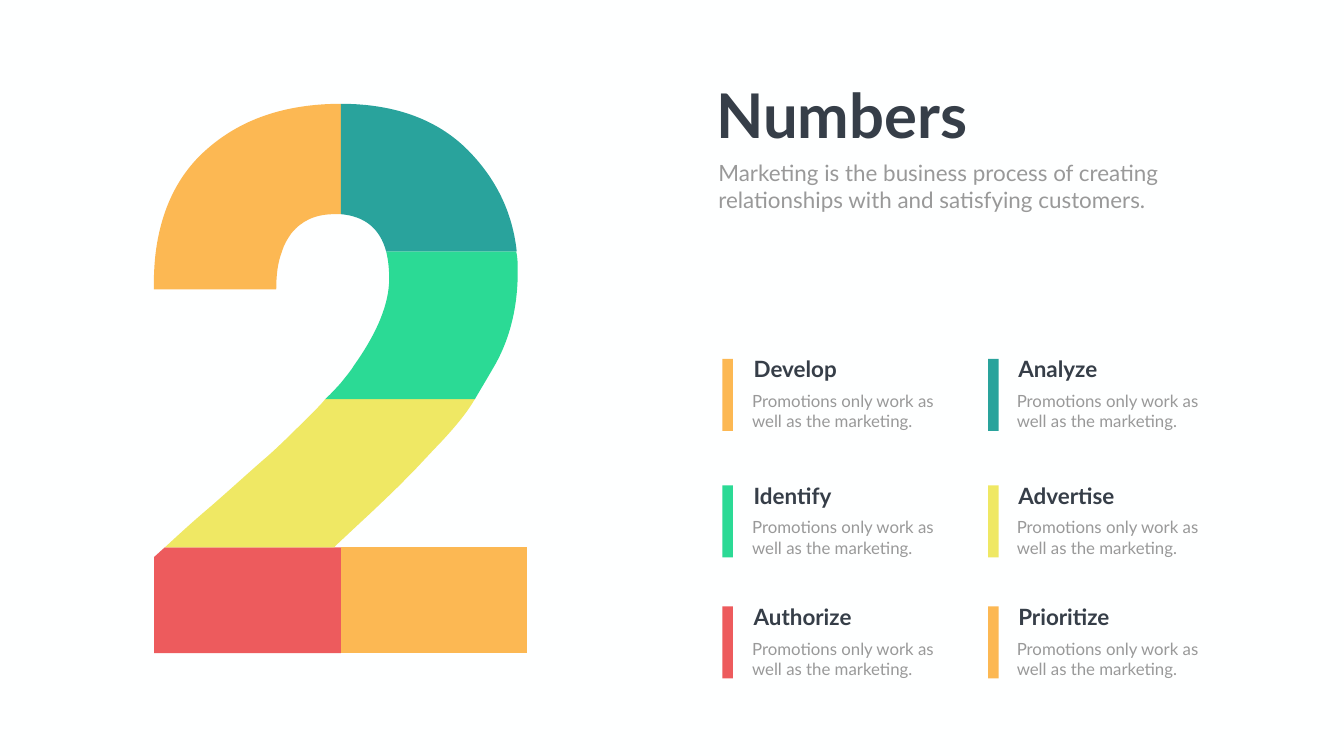
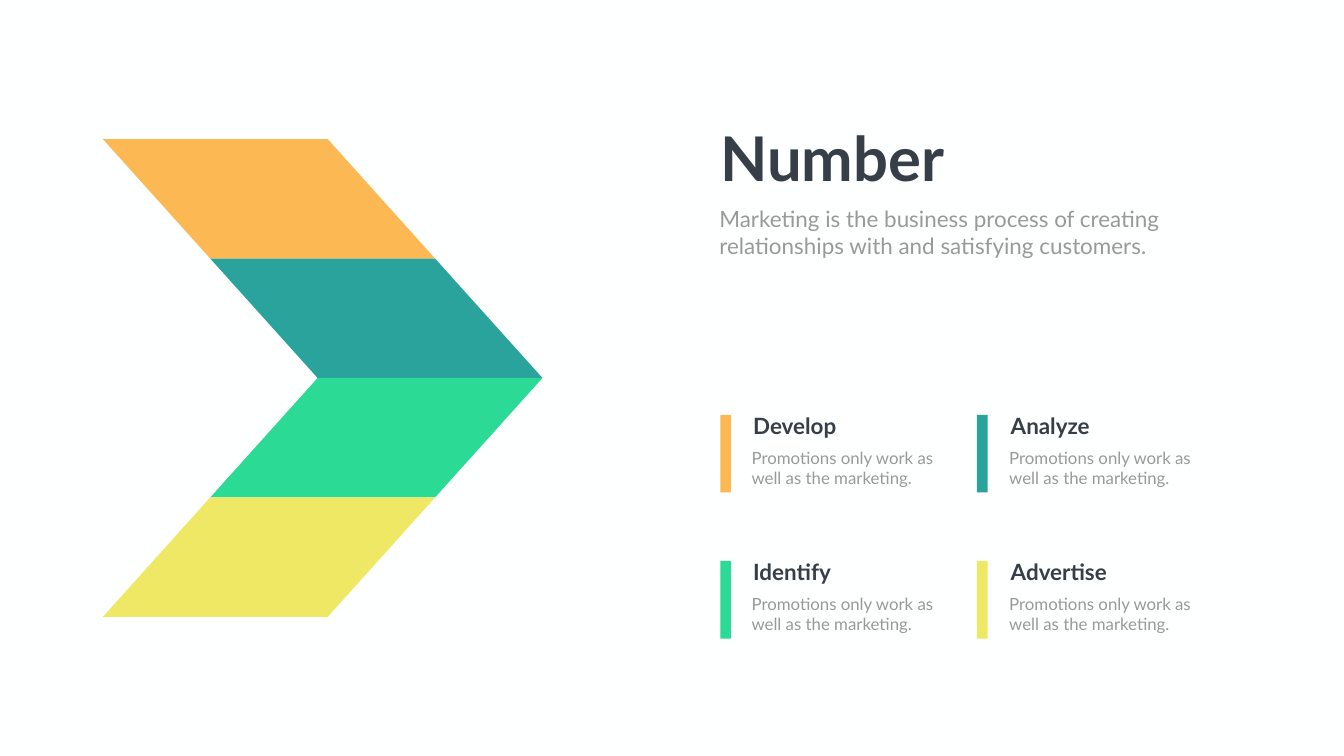
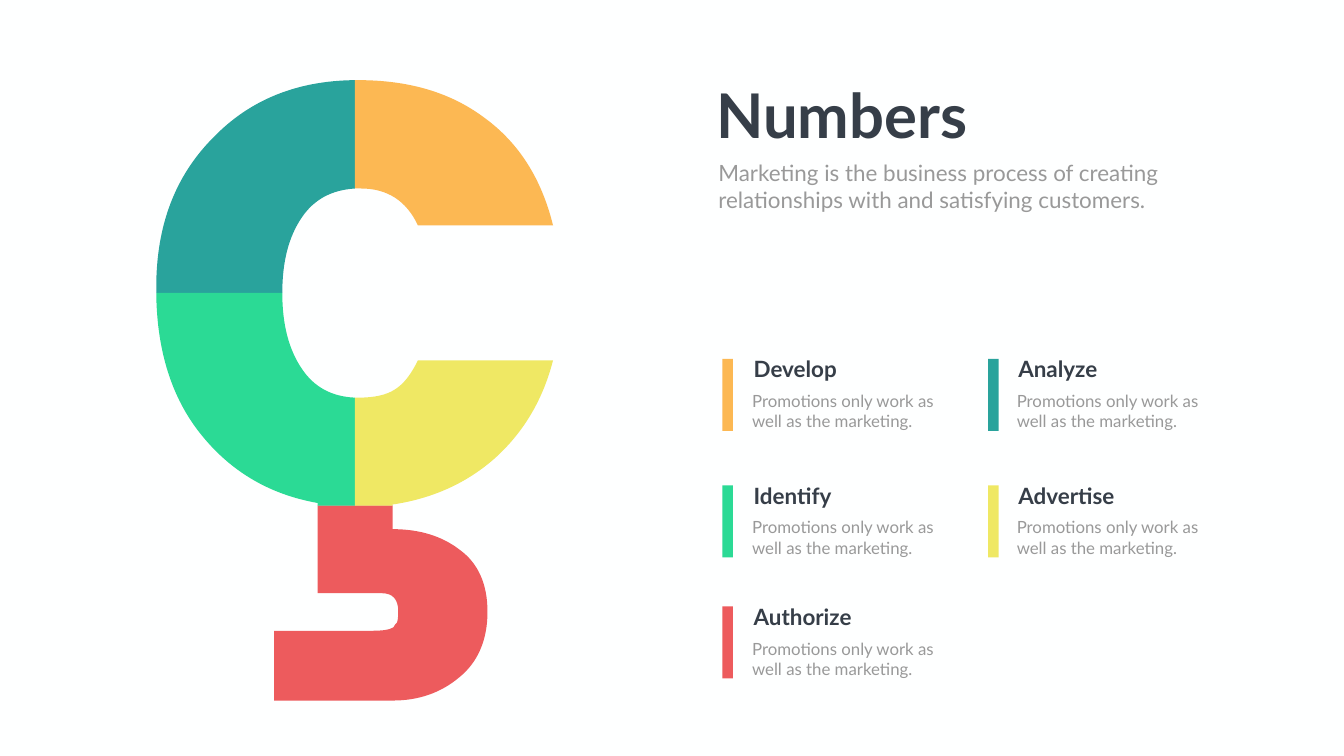
from lxml import etree
from pptx import Presentation
from pptx.dml.color import RGBColor
from pptx.enum.shapes import MSO_SHAPE
from pptx.enum.text import MSO_AUTO_SIZE
from pptx.oxml.ns import qn
from pptx.util import Inches, Pt

ORANGE = RGBColor(0xFC, 0xB8, 0x53)
TEAL = RGBColor(0x29, 0xA3, 0x9C)
GREEN = RGBColor(0x2B, 0xDA, 0x95)
YELLOW = RGBColor(0xEF, 0xE8, 0x64)
RED = RGBColor(0xED, 0x5B, 0x5D)
DARK = RGBColor(0x36, 0x3E, 0x48)
GREY = RGBColor(0x99, 0x99, 0x99)
PAPER = RGBColor(0xFE, 0xFF, 0xFF)

FONT = "Lato"
INTRO = ("Marketing is the business process of creating\n"
         "relationships with and satisfying customers.")
DETAIL = "Promotions only work as well as the marketing."
ITEMS = [("Develop", ORANGE), ("Analyze", TEAL), ("Identify", GREEN),
         ("Advertise", YELLOW), ("Authorize", RED), ("Prioritize", ORANGE)]

TWO = [
    (RED, [(6.76, 10.86), (3.27, 10.86), (3.06, 11.05), (3.06, 12.96), (6.76, 12.96)]),
    (ORANGE, [(4.06, 3), (3.53, 3.48, 3.2, 4.15, 3.09, 5),
              (3.06, 5.23, 3.05, 5.49, 3.05, 5.74), (5.48, 5.74),
              (5.48, 5.45, 5.51, 5.21, 5.59, 5), (5.63, 4.86, 5.7, 4.74, 5.78, 4.63),
              (5.99, 4.37, 6.27, 4.25, 6.63, 4.25), (6.76, 4.25), (6.76, 2.06),
              (5.65, 2.06, 4.75, 2.37, 4.06, 3)]),
    (ORANGE, [(6.76, 12.96), (10.46, 12.96), (10.46, 10.86), (6.76, 10.86)]),
    (YELLOW, [(6.45, 7.92), (6.39, 8, 6.31, 8.08, 6.23, 8.16),
              (5.88, 8.51, 5.57, 8.82, 5.31, 9.05), (5.04, 9.28, 4.67, 9.62, 4.19, 10.04),
              (3.81, 10.36, 3.51, 10.64, 3.27, 10.86), (6.63, 10.86),
              (6.65, 10.83, 6.7, 10.79, 6.75, 10.74), (6.88, 10.62, 7.07, 10.44, 7.33, 10.2),
              (7.7, 9.85, 7.95, 9.61, 8.09, 9.46), (8.23, 9.33, 8.44, 9.09, 8.74, 8.78),
              (9.03, 8.47, 9.24, 8.21, 9.37, 8), (9.38, 7.98, 9.4, 7.95, 9.42, 7.92)]),
    (GREEN, [(10.24, 4.99), (7.66, 4.99), (7.7, 5.15, 7.72, 5.33, 7.72, 5.53),
             (7.72, 6.02, 7.49, 6.59, 7.03, 7.24), (6.96, 7.36, 6.86, 7.47, 6.76, 7.6),
             (6.67, 7.7, 6.57, 7.81, 6.45, 7.92), (9.42, 7.92),
             (9.53, 7.73, 9.67, 7.5, 9.83, 7.22), (10.12, 6.7, 10.27, 6.08, 10.27, 5.39),
             (10.27, 5.26, 10.27, 5.12, 10.24, 4.99)]),
    (TEAL, [(7.66, 4.99), (10.25, 4.99), (10.17, 4.25, 9.87, 3.6, 9.34, 3.04),
            (8.73, 2.39, 7.86, 2.06, 6.76, 2.06), (6.76, 4.25),
            (7.24, 4.29, 7.54, 4.54, 7.66, 4.99)]),
]

CEDILLA = [
    (RED, [(6.3, 10.03), (6.3, 11.77), (7.57, 11.77), (7.79, 11.77, 7.9, 11.89, 7.9, 12.13),
           (7.9, 12.25, 7.89, 12.33, 7.87, 12.36), (7.84, 12.39, 7.82, 12.41, 7.81, 12.44),
           (7.8, 12.45, 7.77, 12.47, 7.73, 12.48), (7.69, 12.49, 7.66, 12.5, 7.64, 12.5),
           (7.61, 12.51, 7.42, 12.52, 7.04, 12.52), (5.44, 12.52), (5.44, 13.9), (7.79, 13.9),
           (8.3, 13.9, 8.74, 13.75, 9.11, 13.44), (9.48, 13.14, 9.67, 12.7, 9.67, 12.14),
           (9.67, 11.58, 9.48, 11.17, 9.12, 10.91), (8.76, 10.63, 8.31, 10.5, 7.79, 10.5),
           (7.79, 10.03)]),
    (TEAL, [(5.6, 5.81), (5.6, 5.18, 5.73, 4.69, 5.99, 4.31),
            (6.23, 3.96, 6.57, 3.77, 7.04, 3.74), (7.04, 1.59),
            (5.89, 1.6, 4.95, 1.98, 4.22, 2.74), (3.47, 3.5, 3.1, 4.48, 3.1, 5.7), (3.1, 5.81)]),
    (GREEN, [(7.04, 7.89), (6.58, 7.87, 6.23, 7.68, 5.99, 7.32),
             (5.73, 6.94, 5.6, 6.44, 5.6, 5.82), (5.6, 5.81), (3.1, 5.81),
             (3.11, 6.96, 3.41, 7.9, 3.98, 8.61), (4.57, 9.35, 5.34, 9.81, 6.3, 9.98),
             (6.3, 10.03), (7.04, 10.03)]),
    (ORANGE, [(9.6, 2.33), (8.93, 1.83, 8.1, 1.59, 7.11, 1.59), (7.04, 1.59), (7.04, 3.74),
              (7.16, 3.74), (7.68, 3.74, 8.06, 3.98, 8.29, 4.47), (10.97, 4.47),
              (10.74, 3.54, 10.29, 2.83, 9.6, 2.33)]),
    (YELLOW, [(7.83, 7.73), (7.66, 7.84, 7.42, 7.89, 7.11, 7.89), (7.04, 7.89), (7.04, 10.03),
              (7.79, 10.03), (7.79, 10.01), (8.59, 9.89, 9.27, 9.58, 9.83, 9.08),
              (10.39, 8.57, 10.77, 7.93, 10.97, 7.15), (8.29, 7.15),
              (8.16, 7.42, 8.01, 7.62, 7.83, 7.73)]),
]


class Deck:
    def __init__(self):
        self.prs = Presentation()
        self.prs.slide_width = Inches(26.66)
        self.prs.slide_height = Inches(15)
        self.s = None

    def slide(self):
        self.s = self.prs.slides.add_slide(self.prs.slide_layouts[6])
        fill = self.s.background.fill
        fill.solid()
        fill.fore_color.rgb = PAPER

    def paint(self, sp, color):
        sp.shadow.inherit = False
        sp.fill.solid()
        sp.fill.fore_color.rgb = color
        sp.line.fill.background()

    def outline(self, color, steps):
        """Two numbers in a step end a line, six make a Bézier curve."""
        points = [(Inches(step[-2]), Inches(step[-1])) for step in steps]
        builder = self.s.shapes.build_freeform(*points[0])
        builder.add_line_segments(points[1:])
        sp = builder.convert_to_shape()
        segments = list(sp._element.iter(qn("a:lnTo")))
        for segment, step in zip(segments, steps[1:]):
            if len(step) == 6:
                self.bend(segment, step, sp.left, sp.top)
        self.paint(sp, color)

    def bend(self, segment, step, left, top):
        curve = etree.Element(qn("a:cubicBezTo"))
        for x, y in zip(step[::2], step[1::2]):
            etree.SubElement(curve, qn("a:pt"), x=str(Inches(x) - left), y=str(Inches(y) - top))
        segment.getparent().replace(segment, curve)

    def bar(self, x, y, h, color):
        sp = self.s.shapes.add_shape(MSO_SHAPE.RECTANGLE, Inches(x), Inches(y),
                                     Inches(0.21), Inches(h))
        self.paint(sp, color)

    def text(self, x, y, w, h, text, size, color, bold=False, wrap=True):
        sp = self.s.shapes.add_textbox(Inches(x), Inches(y), Inches(w), Inches(h))
        tf = sp.text_frame
        tf.word_wrap = wrap
        tf.auto_size = MSO_AUTO_SIZE.SHAPE_TO_FIT_TEXT
        tf.text = text
        for p in tf.paragraphs:
            for r in p.runs:
                r.font.name = FONT
                r.font.size = Pt(size)
                r.font.color.rgb = color
                r.font.bold = bold

    def heading(self, x, y, w, title, intro_x, intro_y, wrap):
        self.text(x, y, w, 1.58, title, 88, DARK, bold=True, wrap=wrap)
        self.text(intro_x, intro_y, 9.08, 1.18, INTRO, 32, GREY)

    def legend(self, items, bar_lefts, text_lefts, bar_tops, text_tops, bar_h):
        for i, (name, color) in enumerate(items):
            row, col = divmod(i, 2)
            left, top = text_lefts[col], text_tops[row]
            self.bar(bar_lefts[col], bar_tops[row], bar_h, color)
            self.text(left, top, 2.61, 0.64, name, 32, DARK, bold=True)
            self.text(left - 0.03, top + 0.7, 4.01, 0.91, DETAIL, 24, GREY)

    def number_slide(self, outlines, items):
        self.slide()
        for color, steps in outlines:
            self.outline(color, steps)
        self.heading(14.11, 1.47, 5.28, "Numbers", 14.15, 3.1, wrap=False)
        self.legend(items, (14.33, 19.6), (14.85, 20.1),
                    (7.12, 9.63, 12.03), (7, 9.51, 11.92), 1.43)

    def chevron_slide(self):
        self.slide()
        top, band_h, band_w = 2.76, 2.37, 4.46
        lefts = (2.04, 4.17, 6.3, 4.17, 2.04)
        items = ITEMS[:4]
        for i, (_, color) in enumerate(items):
            y = top + i * band_h
            a, b = lefts[i:i + 2]
            self.outline(color, [(a, y), (a + band_w, y),
                                 (b + band_w, y + band_h), (b, y + band_h)])
        self.heading(14.19, 2.33, 10.73, "Number", 14.17, 4.03, wrap=True)
        self.legend(items, (14.29, 19.38), (14.84, 19.95),
                    (8.23, 11.13), (8.13, 11.03), 1.54)


def main():
    deck = Deck()
    deck.number_slide(TWO, ITEMS)
    deck.chevron_slide()
    deck.number_slide(CEDILLA, ITEMS[:5])
    deck.prs.save("out.pptx")


if __name__ == "__main__":
    main()
